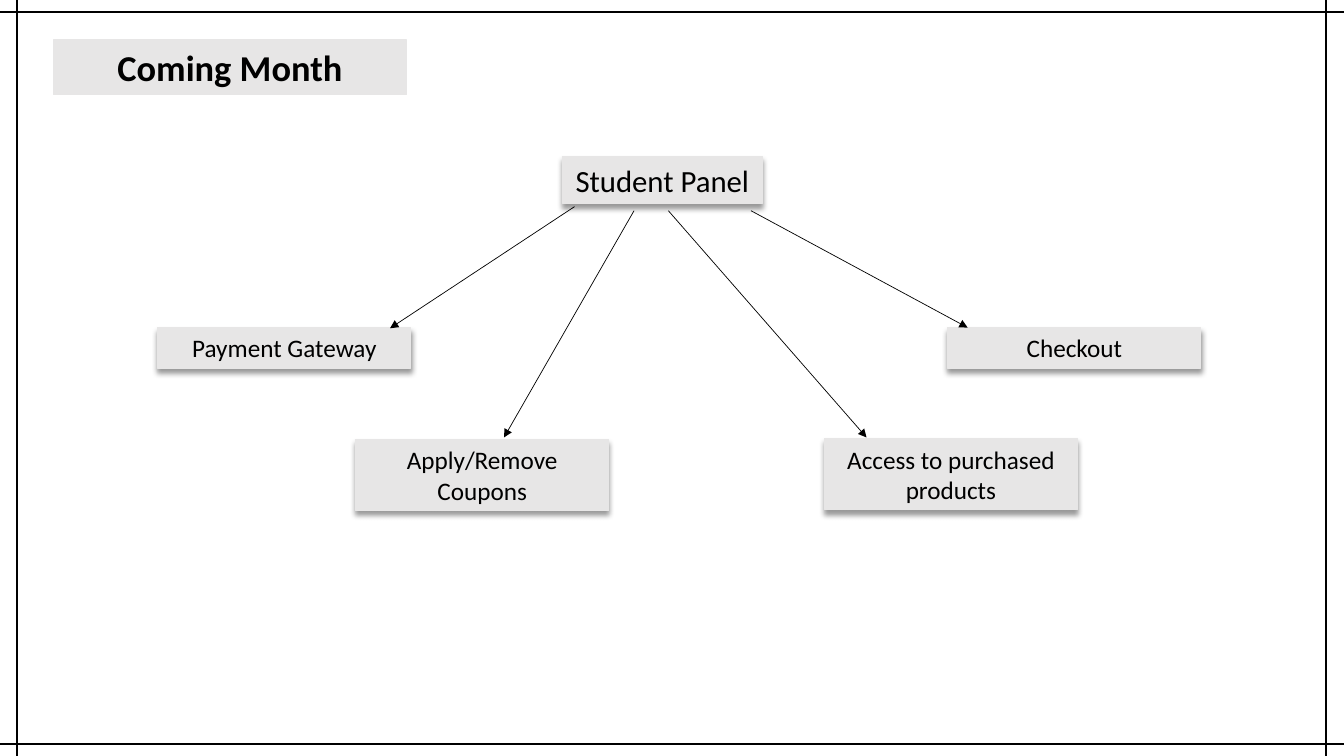
from lxml import etree
from pptx import Presentation
from pptx.dml.color import RGBColor
from pptx.enum.shapes import MSO_CONNECTOR, MSO_SHAPE
from pptx.enum.text import MSO_ANCHOR, MSO_AUTO_SIZE, PP_ALIGN
from pptx.oxml.ns import qn
from pptx.util import Pt

RECTANGLE = MSO_SHAPE.RECTANGLE
STRAIGHT = MSO_CONNECTOR.STRAIGHT
MIDDLE = MSO_ANCHOR.MIDDLE
CENTER = PP_ALIGN.CENTER
GROW = MSO_AUTO_SIZE.SHAPE_TO_FIT_TEXT

COLORS = {"box": "E7E6E6", "ink": "000000"}
FONT = "Calibri"
WIDTH, HEIGHT = 960, 540
FEATURE_WIDTH = 180.9

# Feature boxes: text, left, top, height
FEATURES = [
    ("Payment Gateway", 112.7, 234, 29),
    ("Apply/Remove Coupons", 254, 313.8, 51),
    ("Access to purchased products", 588.8, 313.2, 51),
    ("Checkout", 677, 234, 29),
]

# Arrows from the panel to each feature: start and end points
ARROWS = [
    ((410.4, 147.6), (278.6, 234.5)),
    ((452.9, 150.5), (360, 312.5)),
    ((477.4, 150.5), (619, 312.5)),
    ((536.4, 150.5), (691.2, 234)),
]

# Frame lines run past each other at the corners
FRAME = [
    ((0, 8.7), (WIDTH, 8.7)),
    ((0, 531.3), (WIDTH, 531.3)),
    ((12.3, HEIGHT), (12.3, 0)),
    ((947, HEIGHT), (947, 0)),
]


def color(name):
    return RGBColor.from_string(COLORS[name])


def add_shadow(shape):
    effects = shape._element.spPr.find(qn("a:effectLst"))
    shadow = etree.SubElement(
        effects, qn("a:outerShdw"), blurRad=str(Pt(4)), dist=str(Pt(3)),
        dir="5400000", algn="t", rotWithShape="0")
    shade = etree.SubElement(shadow, qn("a:srgbClr"), val=COLORS["ink"])
    etree.SubElement(shade, qn("a:alpha"), val="40000")


def add_box(slide, text, left, top, width, height, size,
            bold=False, shadow=True):
    shape = slide.shapes.add_shape(
        RECTANGLE, Pt(left), Pt(top), Pt(width), Pt(height))
    shape.fill.solid()
    shape.fill.fore_color.rgb = color("box")
    shape.line.color.rgb = color("box")
    shape.line.width = Pt(0.75)
    shape.shadow.inherit = False
    if shadow:
        add_shadow(shape)

    frame = shape.text_frame
    frame.word_wrap = True
    frame.auto_size = GROW
    frame.vertical_anchor = MIDDLE
    paragraph = frame.paragraphs[0]
    paragraph.text = text
    paragraph.alignment = CENTER
    paragraph.font.name = FONT
    paragraph.font.size = Pt(size)
    paragraph.font.bold = bold
    paragraph.font.color.rgb = color("ink")


def add_line(slide, start, end, weight, arrow=False):
    ends = [Pt(value) for value in (*start, *end)]
    connector = slide.shapes.add_connector(STRAIGHT, *ends)
    connector.line.color.rgb = color("ink")
    connector.line.width = Pt(weight)
    if arrow:
        etree.SubElement(connector.line._get_or_add_ln(),
                         qn("a:tailEnd"), type="triangle")
    etree.SubElement(connector._element.spPr, qn("a:effectLst"))


def main():
    presentation = Presentation()
    presentation.slide_width = Pt(WIDTH)
    presentation.slide_height = Pt(HEIGHT)
    slide = presentation.slides.add_slide(presentation.slide_layouts[6])

    # Frame and title
    for start, end in FRAME:
        add_line(slide, start, end, 1.75)
    add_box(slide, "Coming Month", 38, 28.6, 252.7, 38.9, 26,
            bold=True, shadow=False)

    # Panel with its features
    add_box(slide, "Student Panel", 401.8, 111.8, 142.6, 33.9, 22)
    for text, left, top, height in FEATURES:
        add_box(slide, text, left, top, FEATURE_WIDTH, height, 18)
    for start, end in ARROWS:
        add_line(slide, start, end, 0.5, arrow=True)

    presentation.save("out.pptx")


main()
